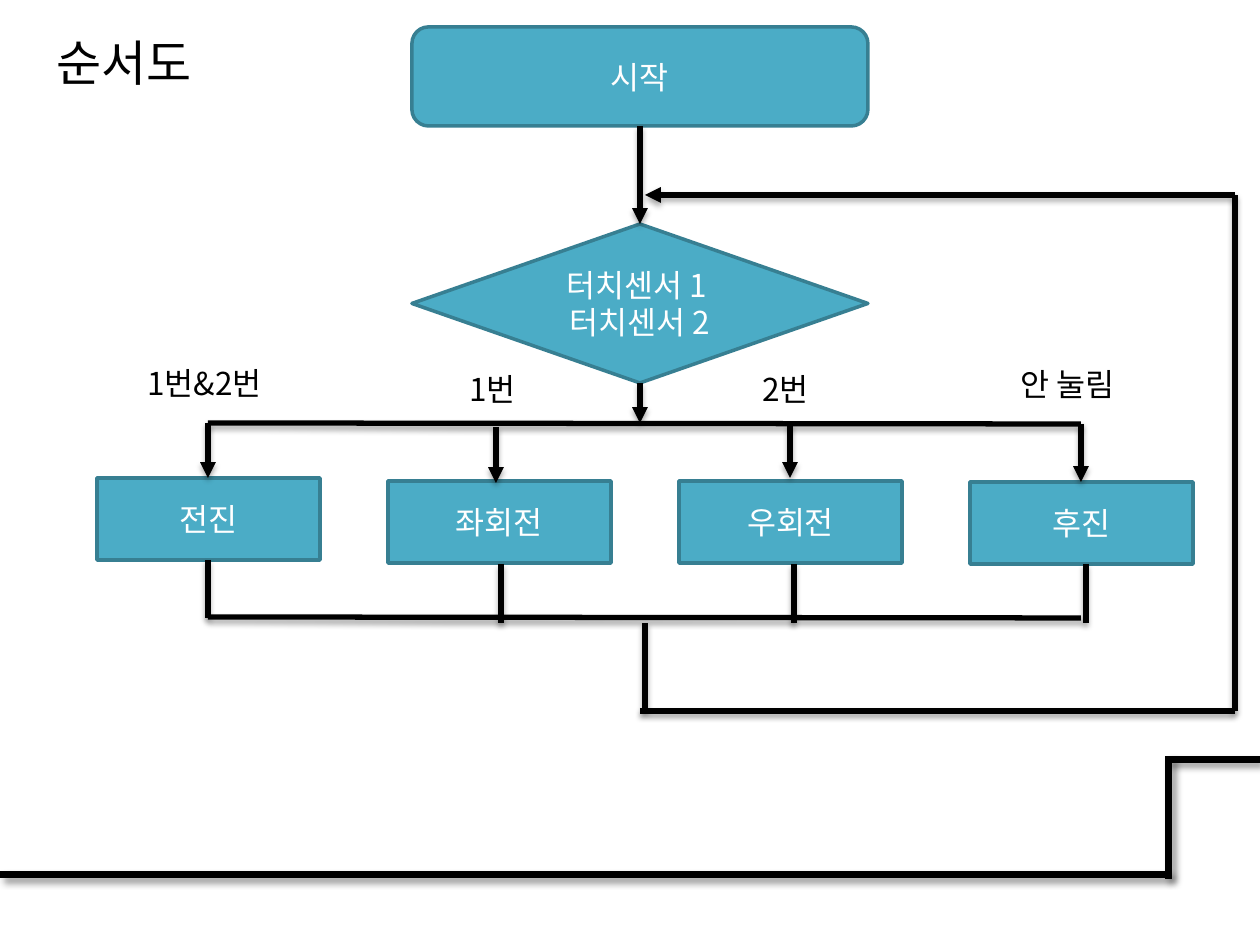
from pptx import Presentation, util as u
from pptx.dml.color import RGBColor
from pptx.enum import shapes, text
from pptx.oxml import parse_xml
from pptx.oxml.ns import nsdecls, qn
from lxml import etree

PX = 914400 // 126
SANS = "Noto Sans CJK KR"
BLACK, WHITE, FILL, EDGE = "000000", "FFFFFF", "4BACC6", "377F92"
FLOW = shapes.MSO_SHAPE

# Content, in pixels
TITLE = ("순서도", (44, 26, 174, 72))
STEPS = [
    ("시작", FLOW.FLOWCHART_ALTERNATE_PROCESS, (412, 27, 456, 99)),
    ("터치센서 1 \n터치센서 2", FLOW.FLOWCHART_DECISION, (412, 224, 456, 159)),
]
ACTIONS = [("전진", 478), ("좌회전", 481), ("우회전", 481), ("후진", 482)]
ACTION_LEFT, ACTION_STEP, ACTION_W, ACTION_H = 97, 291, 223, 82
LABELS = [("1번&2번", 135, 358, 164), ("1번", 457, 364, 79),
          ("2번", 750, 364, 79), ("안 눌림", 1008, 359, 140)]
LABEL_H = 50

# Lines: start x, y, end x, y
FRAME = [(1167, 760, 1260, 760), (1169, 879, 1169, 756), (0, 875, 1169, 875)]
ARROWS = [
    (640, 126, 640, 224), (640, 383, 640, 423),
    (208, 423, 208, 478), (496, 427, 496, 483),
    (790, 423, 790, 478), (1081, 424, 1081, 482),
    (1235, 195, 645, 195),
]
LINKS = [
    (208, 423, 1081, 424), (208, 617, 1081, 618),
    (208, 560, 208, 618), (501, 564, 501, 623),
    (794, 564, 794, 623), (1086, 564, 1086, 623),
    (645, 623, 645, 711), (640, 711, 1235, 711), (1235, 711, 1235, 195),
]
# Shadow: opacity %, blur pt, distance pt, angle
FRAME_SHADOW, LINK_SHADOW = (40, 4, 3, 45), (35, 3.1, 1.8, 90)


def px(*values):
    return [v * PX for v in values]


def color(value):
    return RGBColor.from_string(value)


def write(sp, words, size, font, ink, align):
    tf = sp.text_frame
    tf.text = words
    for p in tf.paragraphs:
        p.alignment = align
        for r in p.runs:
            r.font.size, r.font.name = u.Pt(size), font
            r.font.color.rgb = color(ink)
            etree.SubElement(r.font._element, qn("a:ea")).set("typeface", SANS)
    return tf


def add_step(words, kind, box):
    sp = s.shapes.add_shape(kind, *px(*box))
    sp.shadow.inherit = False
    sp.fill.solid()
    sp.fill.fore_color.rgb = color(FILL)
    sp.line.color.rgb = color(EDGE)
    sp.line.width = u.Pt(2)
    tf = write(sp, words, 18, SANS, WHITE, text.PP_ALIGN.CENTER)
    tf.vertical_anchor = text.MSO_ANCHOR.MIDDLE


def add_line(points, width, shadow, arrow=False):
    line = s.shapes.add_connector(shapes.MSO_CONNECTOR.STRAIGHT, *px(*points))
    line.line.color.rgb = color(BLACK)
    line.line.width = u.Pt(width)
    if arrow:
        ln = line.line._get_or_add_ln()
        etree.SubElement(ln, qn("a:tailEnd")).set("type", "triangle")
    opacity, blur, dist, angle = shadow
    line._element.spPr.append(parse_xml(
        f'<a:effectLst {nsdecls("a")}><a:outerShdw blurRad="{u.Pt(blur)}" '
        f'dist="{u.Pt(dist)}" dir="{angle * 60000}" rotWithShape="0">'
        f'<a:srgbClr val="{BLACK}"><a:alpha val="{opacity * 1000}"/></a:srgbClr>'
        '</a:outerShdw></a:effectLst>'))


prs = Presentation()
prs.slide_width, prs.slide_height = u.Inches(10), u.Inches(7.5)
s = prs.slides.add_slide(prs.slide_layouts[5])

# Title
title = s.shapes.title
title.left, title.top, title.width, title.height = px(*TITLE[1])
tf = write(title, TITLE[0], 28, "Cambria", BLACK, text.PP_ALIGN.LEFT)
tf.vertical_anchor = text.MSO_ANCHOR.TOP
tf.word_wrap = False
tf.auto_size = text.MSO_AUTO_SIZE.SHAPE_TO_FIT_TEXT

# Stepped line along the bottom
for points in FRAME:
    add_line(points, 4, FRAME_SHADOW)

# Flowchart steps
for step in STEPS:
    add_step(*step)
for i, (words, top) in enumerate(ACTIONS):
    left = ACTION_LEFT + i * ACTION_STEP
    add_step(words, FLOW.FLOWCHART_PROCESS, (left, top, ACTION_W, ACTION_H))

# Connections
for points in ARROWS:
    add_line(points, 3, LINK_SHADOW, arrow=True)
for points in LINKS:
    add_line(points, 3, LINK_SHADOW)

# Branch labels
for words, left, top, width in LABELS:
    sp = s.shapes.add_textbox(*px(left, top, width, LABEL_H))
    tf = write(sp, words, 18, SANS, BLACK, text.PP_ALIGN.LEFT)
    tf.word_wrap = False
    tf.auto_size = text.MSO_AUTO_SIZE.SHAPE_TO_FIT_TEXT

prs.save("out.pptx")
